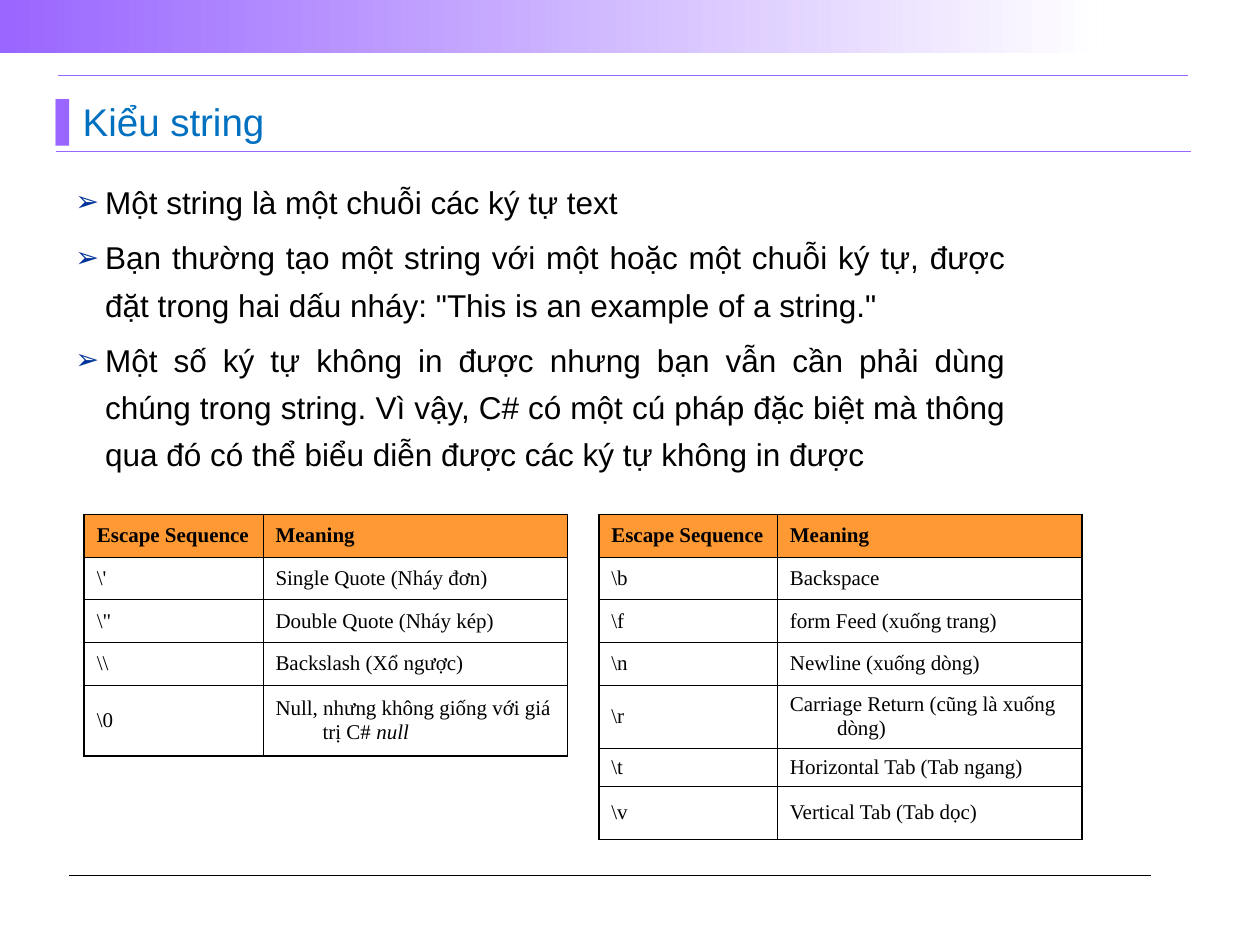
from lxml.etree import SubElement
from pptx import Presentation
from pptx.dml.color import RGBColor
from pptx.enum.shapes import MSO_CONNECTOR, MSO_SHAPE
from pptx.enum.text import MSO_ANCHOR, PP_ALIGN
from pptx.oxml.ns import qn
from pptx.util import Cm, Pt

PURPLE, ORANGE, BLACK, WHITE = "9966FF", "FF9933", "000000", "FFFFFF"
TITLE_BLUE, BULLET_BLUE = "0070C0", "003399"
OUTER, INNER = 1.08, 0.45

POINTS = [
    "Một string là một chuỗi các ký tự text",
    "Bạn thường tạo một string với một hoặc một chuỗi ký tự, được đặt trong "
    "hai dấu nháy: \"This is an example of a string.\"",
    "Một số ký tự không in được nhưng bạn vẫn cần phải dùng chúng trong string. "
    "Vì vậy, C# có một cú pháp đặc biệt mà thông qua đó có thể biểu diễn được "
    "các ký tự không in được",
]
HEADER = ("Escape Sequence", "Meaning")
QUOTE_ESCAPES = [
    (r"\'", "Single Quote (Nháy đơn)"),
    (r"\"", "Double Quote (Nháy kép)"),
    (r"\\", "Backslash (Xổ ngược)"),
    (r"\0", "Null, nhưng không giống với giá trị C# ", "null"),
]
CONTROL_ESCAPES = [
    (r"\b", "Backspace"),
    (r"\f", "form Feed (xuống trang)"),
    (r"\n", "Newline (xuống dòng)"),
    (r"\r", "Carriage Return (cũng là xuống dòng)"),
    (r"\t", "Horizontal Tab (Tab ngang)"),
    (r"\v", "Vertical Tab (Tab dọc)"),
]


def color(value):
    return RGBColor.from_string(value)


def add_run(paragraph, text, size, font, ink, bold=False, italic=False):
    run = paragraph.add_run()
    run.text = text
    run.font.size = Pt(size)
    run.font.name = font
    run.font.color.rgb = color(ink)
    run.font.bold = bold
    run.font.italic = italic


def hang(paragraph, indent):
    properties = paragraph._p.get_or_add_pPr()
    properties.set("marL", str(Cm(indent)))
    properties.set("indent", str(-Cm(indent)))
    return properties


def add_bullet(paragraph, character, ink, indent, percent=100):
    properties = hang(paragraph, indent)
    tint = SubElement(properties, qn("a:buClr"))
    SubElement(tint, qn("a:srgbClr"), val=ink)
    SubElement(properties, qn("a:buSzPct"), val=str(percent * 1000))
    SubElement(properties, qn("a:buFont"), typeface="Arial")
    SubElement(properties, qn("a:buChar"), char=character)


def add_rule(slide, left, top, width, ink, weight):
    rule = slide.shapes.add_connector(
        MSO_CONNECTOR.STRAIGHT, Cm(left), Cm(top), Cm(left + width), Cm(top))
    rule.line.color.rgb = color(ink)
    rule.line.width = Pt(weight)
    SubElement(rule._element.spPr, qn("a:effectLst"))


def add_frame(slide, width, height):
    banner = slide.shapes.add_shape(
        MSO_SHAPE.RECTANGLE, 0, 0, Cm(width * 0.876), Cm(1.08))
    banner.shadow.inherit = False
    banner.line.fill.background()
    banner.fill.gradient()
    banner.fill.gradient_angle = 0
    for stop, ink, position in zip(banner.fill.gradient_stops, (PURPLE, WHITE), (0, 1)):
        stop.color.rgb = color(ink)
        stop.position = position
    add_rule(slide, 1.12, 3.05, width - 2.52, PURPLE, 0.5)
    add_rule(slide, 1.17, 1.52, width - 2.62, PURPLE, 0.75)
    add_rule(slide, 1.4, height - 1.4, width - 3.6, BLACK, 0.75)


def add_title(slide, left, top, width, height):
    title = slide.shapes.title
    title.left, title.top, title.width, title.height = map(Cm, (left, top, width, height))
    frame = title.text_frame
    frame.margin_left = frame.margin_right = frame.margin_top = frame.margin_bottom = 0
    frame.vertical_anchor = MSO_ANCHOR.BOTTOM
    heading = frame.paragraphs[0]
    heading.alignment = PP_ALIGN.LEFT
    add_bullet(heading, "▌", PURPLE, 0.48)
    add_run(heading, "Kiểu string", 22, "Arial", TITLE_BLUE)


def add_points(slide, left, top, width, height):
    frame = slide.shapes.add_textbox(Cm(left), Cm(top), Cm(width), Cm(height)).text_frame
    frame.word_wrap = True
    for index, text in enumerate(POINTS):
        point = frame.add_paragraph() if index else frame.paragraphs[0]
        point.alignment = PP_ALIGN.JUSTIFY
        point.line_spacing = 1.25
        point.space_before = Pt(4.5)
        add_bullet(point, "➢", BULLET_BLUE, 0.6, 90)
        add_run(point, text, 18, "Arial", BLACK)


def add_borders(cell, weights):
    properties = cell._tc.get_or_add_tcPr()
    for side, weight in weights.items():
        edge = SubElement(properties, qn(f"a:ln{side}"), w=str(Pt(weight)))
        fill = SubElement(edge, qn("a:solidFill"))
        SubElement(fill, qn("a:srgbClr"), val=BLACK)


def add_escape_table(slide, left, top, columns, heights, escapes):
    table = slide.shapes.add_table(
        len(heights), len(columns), Cm(left), Cm(top),
        Cm(sum(columns)), Cm(sum(heights))).table
    table.horz_banding = False
    for column, width in zip(table.columns, columns):
        column.width = Cm(width)
    last_row, last_column = len(heights) - 1, len(columns) - 1
    for r, (sequence, meaning, *emphasis) in enumerate([HEADER] + escapes):
        table.rows[r].height = Cm(heights[r])
        for c, text in enumerate((sequence, meaning)):
            cell = table.cell(r, c)
            cell.vertical_anchor = MSO_ANCHOR.MIDDLE
            add_borders(cell, {
                "L": OUTER if c == 0 else INNER,
                "R": OUTER if c == last_column else INNER,
                "T": OUTER if r == 0 else INNER,
                "B": OUTER if r == last_row else INNER,
            })
            if r == 0:
                cell.fill.solid()
                cell.fill.fore_color.rgb = color(ORANGE)
            else:
                cell.fill.background()
            paragraph = cell.text_frame.paragraphs[0]
            hang(paragraph, 0.95)
            add_run(paragraph, text, 12, "Times New Roman", BLACK, bold=r == 0)
        for word in emphasis:
            add_run(paragraph, word, 12, "Times New Roman", BLACK, italic=True)


def main():
    deck = Presentation()
    width, height = 25.4, 19.05
    deck.slide_width, deck.slide_height = Cm(width), Cm(height)
    slide = deck.slides.add_slide(deck.slide_layouts[5])
    add_frame(slide, width, height)
    add_title(slide, 1.12, 1.96, 21.87, 0.94)
    add_points(slide, 1.27, 3.38, 19.25, 6.35)
    columns, line = (3.6, 6.14), 0.86
    add_escape_table(slide, 1.7, 10.37, columns, [line] * 4 + [1.43], QUOTE_ESCAPES)
    add_escape_table(slide, 12.07, 10.37, columns,
                     [line] * 4 + [1.27, 0.77, 1.07], CONTROL_ESCAPES)
    deck.save("out.pptx")


if __name__ == "__main__":
    main()
